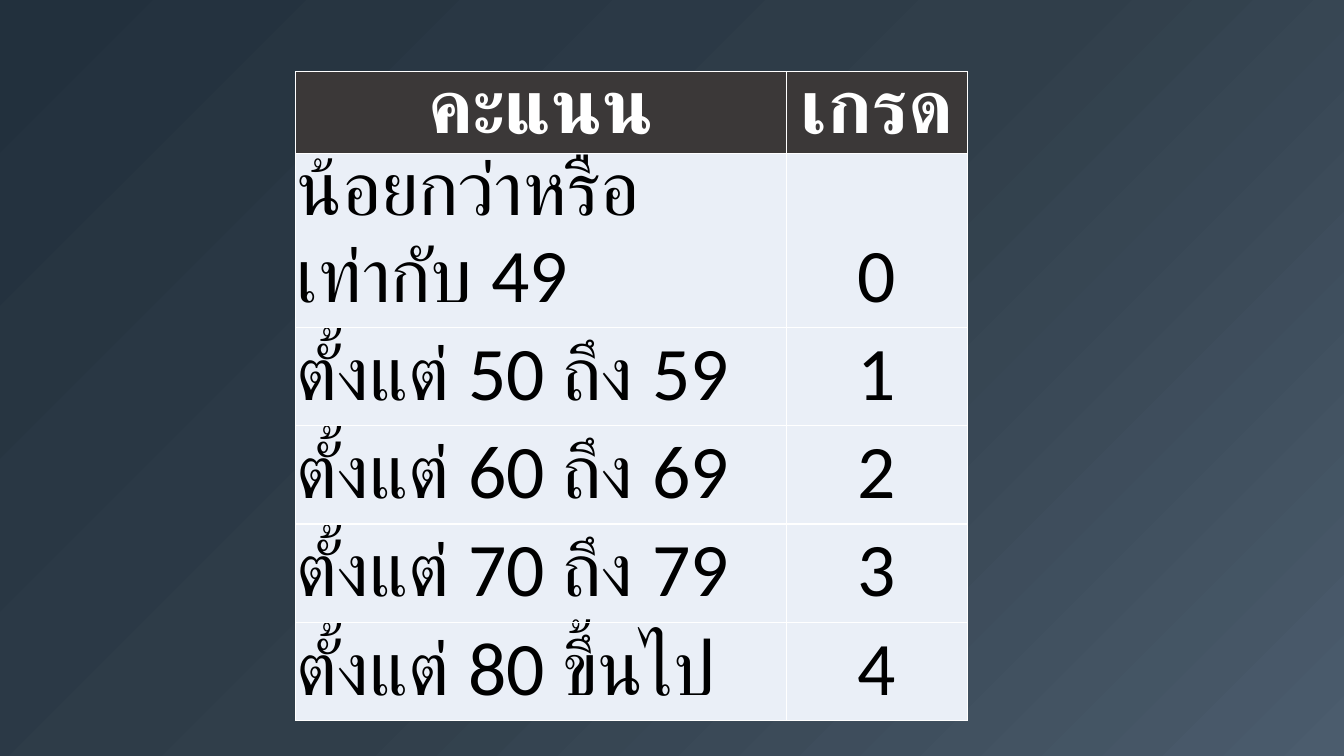
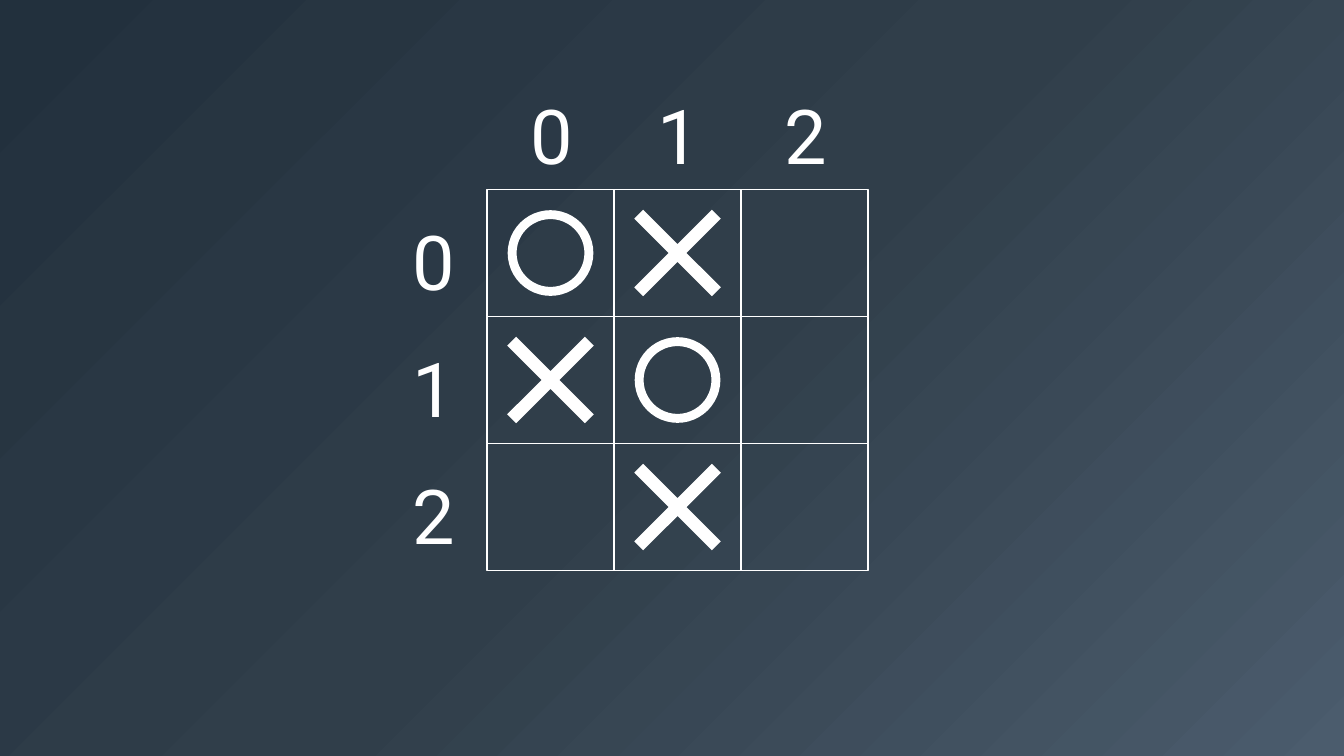
from dataclasses import dataclass
from pptx import Presentation
from pptx import util as u
from pptx.dml.color import RGBColor
from pptx.enum import shapes, text
from pptx.oxml import parse_xml
from pptx.oxml.ns import nsdecls


@dataclass(frozen=True)
class Theme:
    white: str = "FFFFFF"
    black: str = "000000"
    head: str = "3B3838"
    pale: str = "EAEFF7"
    stops: tuple = ((0, "4B5C6D"), (49, "303E4A"), (100, "22303D"))
    size: int = 54
    line: int = 1
    sans: str = "Calibri"
    digit: str = "Roboto"


def color(code):
    return RGBColor.from_string(code)


class Deck:
    cell = 1.26
    left, top = 4.83, 1.88

    def __init__(self, theme):
        self.theme = theme
        self.prs = Presentation()
        self.prs.slide_width = u.Inches(13.33)
        self.prs.slide_height = u.Inches(7.5)
        self.slide = None
        self.back()

    def back(self):
        master = self.prs.slide_master
        master.background.fill.gradient()
        old = master.element.xpath("./p:cSld/p:bg/p:bgPr/a:gradFill")[0]
        stops = "".join(
            f'<a:gs pos="{pos * 1000}"><a:srgbClr val="{code}"/></a:gs>'
            for pos, code in self.theme.stops)
        fill = parse_xml(
            f'<a:gradFill {nsdecls("a")} rotWithShape="1"><a:gsLst>{stops}</a:gsLst>'
            '<a:path path="circle"><a:fillToRect l="100000" t="100000"/></a:path>'
            '</a:gradFill>')
        old.getparent().replace(old, fill)

    def add(self):
        self.slide = self.prs.slides.add_slide(self.prs.slide_layouts[6])

    def letter(self, frame, words, font, code, align, bold=False):
        frame.text = words
        para = frame.paragraphs[0]
        para.alignment = align
        para.font.name = font
        para.font.size = u.Pt(self.theme.size)
        para.font.bold = bold
        para.font.color.rgb = color(code)

    def border(self, cell):
        props = cell._tc.get_or_add_tcPr()
        for at, side in enumerate(("lnL", "lnR", "lnT", "lnB")):
            props.insert(at, parse_xml(
                f'<a:{side} {nsdecls("a")} w="{u.Pt(self.theme.line)}"><a:solidFill>'
                f'<a:srgbClr val="{self.theme.white}"/></a:solidFill></a:{side}>'))

    def table(self, x, y, wide, high, cols, row, data):
        t = self.theme
        width, height = self.prs.slide_width, self.prs.slide_height
        frame = self.slide.shapes.add_table(
            len(data), len(cols), int(x * width), int(y * height),
            int(wide * width), int(high * height))
        table = frame.table
        for col, share in zip(table.columns, cols):
            col.width = int(share * wide * width)
        for line in table.rows:
            line.height = u.Inches(row)
        frame.height = int(high * height)
        for r, line in enumerate(data):
            for c, words in enumerate(line):
                cell = table.cell(r, c)
                cell.margin_left = cell.margin_right = cell.margin_top = u.Inches(0.01)
                cell.margin_bottom = u.Inches(0.05)
                cell.vertical_anchor = text.MSO_ANCHOR.BOTTOM
                cell.fill.solid()
                cell.fill.fore_color.rgb = color(t.pale if r else t.head)
                align = text.PP_ALIGN.LEFT if r and not c else text.PP_ALIGN.CENTER
                self.letter(cell.text_frame, words, t.sans,
                            t.black if r else t.white, align, bold=not r)
                self.border(cell)

    def shape(self, home, kind, col, row, size):
        place = (self.left + (col + 0.5) * self.cell - size / 2,
                 self.top + (row + 0.5) * self.cell - size / 2, size, size)
        shape = home.shapes.add_shape(kind, *map(u.Inches, place))
        shape.shadow.inherit = False
        return shape

    def board(self, count):
        group = self.slide.shapes.add_group_shape()
        for at in range(count * count):
            row, col = divmod(at, count)
            tile = self.shape(group, shapes.MSO_SHAPE.RECTANGLE, col, row, self.cell)
            tile.fill.background()
            tile.line.color.rgb = color(self.theme.white)
            tile.line.width = u.Pt(self.theme.line)

    def mark(self, kind, col, row, size, thick):
        mark = self.shape(self.slide, kind, col, row, size)
        mark.adjustments[0] = thick
        mark.fill.solid()
        mark.fill.fore_color.rgb = color(self.theme.white)
        mark.line.fill.background()

    def label(self, words, col, row):
        place = (self.left + col * self.cell, self.top + row * self.cell, 0.65, 1.01)
        frame = self.slide.shapes.add_textbox(*map(u.Inches, place)).text_frame
        frame.word_wrap = False
        frame.auto_size = text.MSO_AUTO_SIZE.SHAPE_TO_FIT_TEXT
        self.letter(frame, words, self.theme.digit, self.theme.white,
                    text.PP_ALIGN.CENTER)


deck = Deck(Theme())

deck.add()
grades = [("คะแนน", "เกรด"), ("น้อยกว่าหรือเท่ากับ 49", "0")]
grades += [(f"ตั้งแต่ {low} ถึง {low + 9}", str(grade))
           for grade, low in enumerate((50, 60, 70), 1)]
grades.append(("ตั้งแต่ 80 ขึ้นไป", "4"))
deck.table(0.22, 0.095, 0.5, 0.77, (0.73, 0.27), 0.19, grades)

deck.add()
deck.board(3)
for spot in ((0, 0), (1, 1)):
    deck.mark(shapes.MSO_SHAPE.DONUT, *spot, 0.85, 0.104)
for spot in ((1, 0), (0, 1), (1, 2)):
    deck.mark(shapes.MSO_SHAPE.MATH_MULTIPLY, *spot, 1.48, 0.085)
for at in range(3):
    deck.label(str(at), at + 0.25, -0.83)
    deck.label(str(at), -0.68, at + 0.16)

deck.prs.save("out.pptx")
